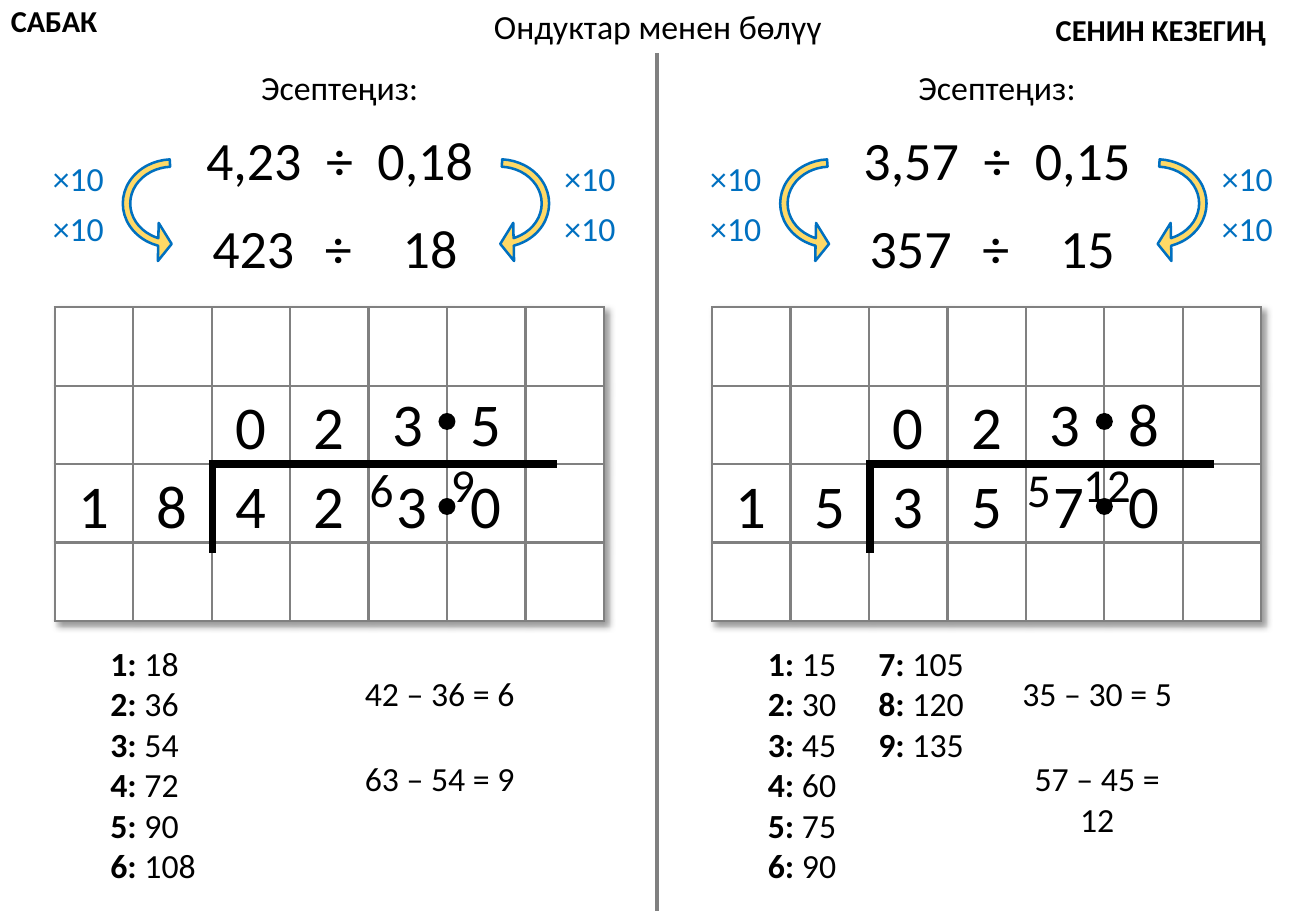
import pptx
import pptx.util
import pptx.dml.color
import pptx.enum.shapes
import pptx.enum.text
import pptx.oxml
from pptx.oxml.ns import nsdecls

Inches, Pt = pptx.util.Inches, pptx.util.Pt
Shape = pptx.enum.shapes.MSO_SHAPE
Align = pptx.enum.text.PP_ALIGN
FONT = "Calibri"
COLORS = {"ink": "000000", "paper": "FFFFFF", "grid": "808080",
          "blue": "0070C0", "gold": "FFD966"}
COLS, ROWS = 7, 4
CELL = 4.52 / COLS
LEFT, TOP = 0.45, 2.53  # grid corner within a panel
HALF = 5.41
BEND = (0.062, 11.423, 203.847, 110.164, 0.16)


def color(name):
    return pptx.dml.color.RGBColor.from_string(COLORS[name])


def add_text(slide, x, y, w, h, lines, size, align=Align.CENTER, ink="ink"):
    """Each line is a list of (text, bold, spacing in points) runs."""
    box = slide.shapes.add_textbox(Inches(x), Inches(y), Inches(w), Inches(h))
    frame = box.text_frame
    frame.word_wrap = False
    frame.auto_size = pptx.enum.text.MSO_AUTO_SIZE.SHAPE_TO_FIT_TEXT
    for i, line in enumerate(lines):
        para = frame.add_paragraph() if i else frame.paragraphs[0]
        para.alignment = align
        for text, bold, gap in line:
            run = para.add_run()
            run.text = text
            run.font.name = FONT
            run.font.size = Pt(size)
            run.font.bold = bold
            run.font.color.rgb = color(ink)
            if gap:
                run.font._element.set("spc", str(int(gap * 100)))


def add_word(slide, x, y, w, h, text, size, bold=False, **style):
    add_text(slide, x, y, w, h, [[(text, bold, 0)]], size, **style)


def add_line(slide, x1, y1, x2, y2, name, width):
    line = slide.shapes.add_connector(
        pptx.enum.shapes.MSO_CONNECTOR.STRAIGHT,
        Inches(x1), Inches(y1), Inches(x2), Inches(y2))
    line.line.color.rgb = color(name)
    line.line.width = Pt(width)
    line._element.spPr.append(
        pptx.oxml.parse_xml(f"<a:effectLst {nsdecls('a')}/>"))


def add_solid(slide, kind, x, y, w, h, fill):
    shape = slide.shapes.add_shape(
        kind, Inches(x), Inches(y), Inches(w), Inches(h))
    shape.shadow.inherit = False
    shape.fill.solid()
    shape.fill.fore_color.rgb = color(fill)
    shape.line.fill.background()
    return shape


def add_arrow(slide, x, y, flip):
    arrow = add_solid(slide, Shape.CIRCULAR_ARROW, x, y, 0.98, 1.07, "gold")
    arrow.line.color.rgb = color("blue")
    arrow.line.width = Pt(1.5)
    for i, value in enumerate(BEND):
        arrow.adjustments[i] = value
    arrow.rotation = 90
    if flip:
        arrow._element.spPr.xfrm.set("flipV", "1")


def add_grid(slide, x, y):
    """Empty squared paper with a soft shadow."""
    table = slide.shapes.add_table(
        ROWS, COLS, Inches(x), Inches(y),
        Inches(CELL * COLS), Inches(CELL * ROWS)).table
    table.first_row = table.horz_banding = False
    for part in list(table.columns):
        part.width = Inches(CELL)
    for part in list(table.rows):
        part.height = Inches(CELL)
    table._tbl.tblPr.insert(0, pptx.oxml.parse_xml(
        f'<a:effectLst {nsdecls("a")}><a:outerShdw blurRad="50800" '
        'dist="38100" dir="2700000" algn="tl" rotWithShape="0">'
        f'<a:srgbClr val="{COLORS["ink"]}"><a:alpha val="40000"/></a:srgbClr>'
        '</a:outerShdw></a:effectLst>'))
    for cell in table.iter_cells():
        cell.fill.solid()
        cell.fill.fore_color.rgb = color("paper")
        for i, side in enumerate(("lnL", "lnR", "lnT", "lnB")):
            cell._tc.tcPr.insert(i, pptx.oxml.parse_xml(
                f'<a:{side} {nsdecls("a")} w="19050"><a:solidFill>'
                f'<a:srgbClr val="{COLORS["grid"]}"/></a:solidFill></a:{side}>'))


def add_task(slide, x, task):
    """The division, and the same division with both sides times ten."""
    add_word(slide, x + 2.04, 0.5, 1.51, 0.44, "Эсептеңиз:", 20)
    first, second = task["given"]
    gap = (" ", False, 7.2)
    add_text(slide, x + 1.58, 0.99, 2.43, 0.64,
             [[(first, False, 0), gap, ("÷", False, 0), gap,
               (second, False, 0)]], 32)
    for left, width, text in ((1.64, 0.89, task["whole"]), (2.57, 0.43, "÷"),
                              (3.21, 0.66, task["by"])):
        add_word(slide, x + left, 1.72, width, 0.64, text, 32)
    for left, arrow, flip in ((0.33, 0.93, True), (4.54, 3.62, False)):
        add_arrow(slide, x + arrow, 1.14, flip)
        for y in (1.25, 1.66):
            add_word(slide, x + left, y, 0.63, 0.44, "×10", 20, ink="blue")


def add_work(slide, x, task):
    """Long division on the grid."""
    add_grid(slide, x + LEFT, TOP)
    add_line(slide, x + 1.72, 3.82, x + 4.58, 3.82, "ink", 4.5)
    add_line(slide, x + 1.75, 3.81, x + 1.75, 4.55, "ink", 4.5)
    spots = [(col, 3.8) for col in (0, 1, 2, 3, 4.05, 5)]
    spots += [(2, 3.15), (3, 3.15), (4, 3.13), (5, 3.13)]
    digits = task["by"] + task["whole"] + "0" + task["answer"]
    for digit, (col, y) in zip(digits, spots):
        mid = x + LEFT + (col + 0.5) * CELL
        add_word(slide, mid - 0.23, y, 0.46, 0.71, digit, 36)
    for text, mid, y in zip(task["carry"], (3.14, task["mid"]), (3.74, 3.7)):
        width = 0.2 + 0.2 * len(text)
        add_word(slide, x + mid - width / 2, y, width, 0.57, text, 28)
    for y in (3.4, 4.1):
        add_solid(slide, Shape.OVAL, x + LEFT + 5 * CELL - 0.07, y,
                  0.14, 0.14, "ink")


def add_notes(slide, x, task):
    """Multiples of the divisor and the subtractions."""
    by = int(task["by"])
    for left, start, stop in task["lists"]:
        lines = [[(f"{n}:", True, 0), (f" {n * by}", False, 0)]
                 for n in range(start, stop + 1)]
        add_text(slide, x + left, 5.24, 0.91, 0.1 + 0.337 * len(lines),
                 lines, 20, align=Align.LEFT)
    for i, text in enumerate(task["steps"]):
        add_word(slide, x + 2.9, 5.49 + 0.7 * i, 1.44, 0.44, text, 20)


def add_head(slide):
    add_line(slide, HALF, 0.44, HALF, 7.5, "grid", 2.25)
    add_word(slide, 8.59, 0.04, 2.27, 0.4, "СЕНИН КЕЗЕГИҢ", 18, True,
             align=Align.LEFT)
    add_word(slide, -0.01, -0.03, 1.01, 0.4, "САБАК", 18, True,
             align=Align.LEFT)
    add_word(slide, 3.95, 0, 2.93, 0.44, "Ондуктар менен бөлүү", 20)


TASKS = [
    {"given": ("4,23", "0,18"), "whole": "423", "by": "18",
     "answer": "0235", "carry": ("6", "9"), "mid": 3.81,
     "lists": [(0.81, 1, 6)], "steps": ("42 – 36 = 6", "63 – 54 = 9")},
    {"given": ("3,57", "0,15"), "whole": "357", "by": "15",
     "answer": "0238", "carry": ("5", "12"), "mid": 3.7,
     "lists": [(0.81, 1, 6), (1.72, 7, 9)],
     "steps": ("35 – 30 = 5", "57 – 45 = 12")},
]


def main():
    deck = pptx.Presentation()
    deck.slide_width, deck.slide_height = Inches(10.83), Inches(7.5)
    slide = deck.slides.add_slide(deck.slide_layouts[6])
    add_head(slide)
    for i, task in enumerate(TASKS):
        for part in (add_task, add_work, add_notes):
            part(slide, i * HALF, task)
    deck.save("out.pptx")


if __name__ == "__main__":
    main()
